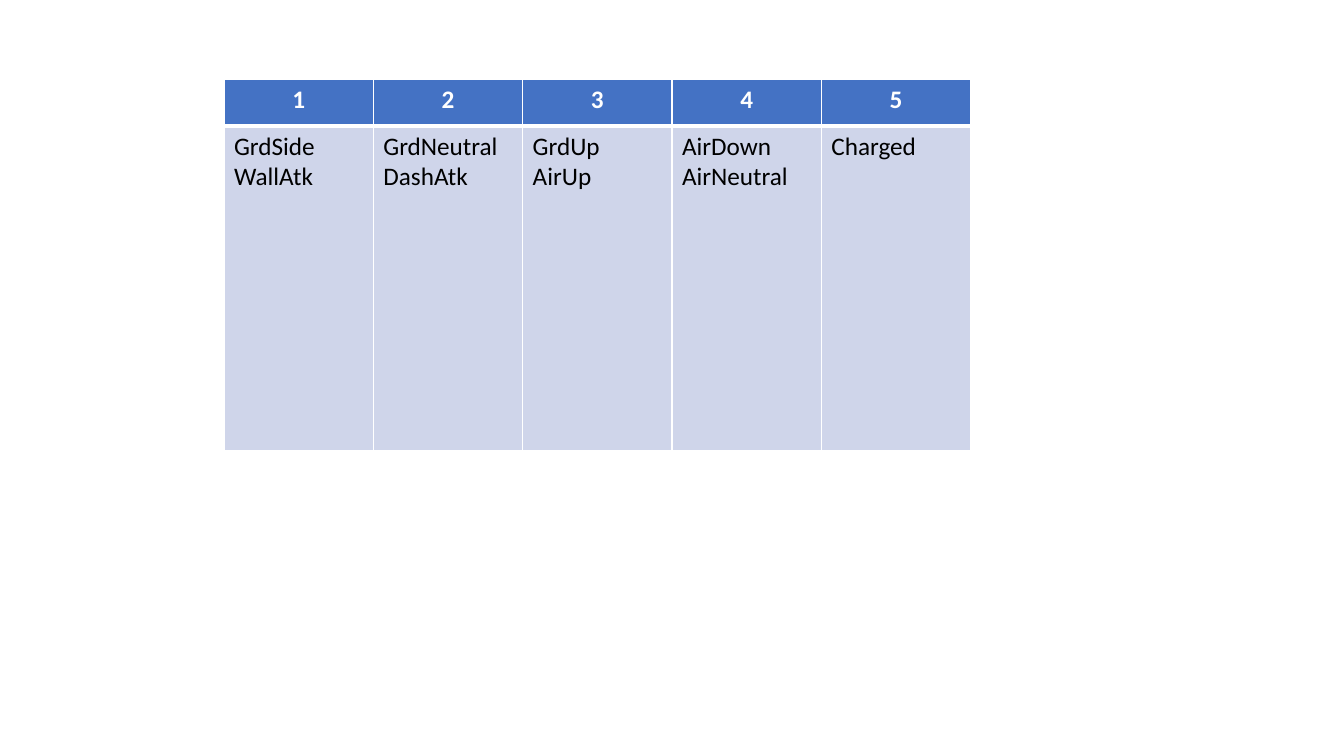
from lxml import etree
from pptx import Presentation
from pptx.dml.color import RGBColor
from pptx.enum.text import PP_ALIGN
from pptx.oxml.ns import qn
from pptx.util import Inches, Pt

CENTER, LEFT = PP_ALIGN.CENTER, PP_ALIGN.LEFT
WHITE = RGBColor(0xFF, 0xFF, 0xFF)
BLACK = RGBColor(0x00, 0x00, 0x00)
HEADER_BLUE = RGBColor(0x44, 0x72, 0xC4)
BODY_BLUE = RGBColor(0xCF, 0xD5, 0xEA)

GRID_COLUMNS, GRID_ROWS = 36, 114
HEADER_ROWS, BODY_ROWS = 7, 49
SLOT_COLUMNS = 4
THIN, THICK = 1, 3

ATTACK_SLOTS = {
    "1": ["GrdSide", "WallAtk"],
    "2": ["GrdNeutral", "DashAtk"],
    "3": ["GrdUp", "AirUp"],
    "4": ["AirDown", "AirNeutral"],
    "5": ["Charged"],
}


class SlideBuilder:
    """Places styled elements on a grid over the current slide."""

    def __init__(self, deck, font="Calibri", size=18):
        self.page = deck.slides.add_slide(deck.slide_layouts[6])
        self.column = deck.slide_width / GRID_COLUMNS
        self.row = deck.slide_height / GRID_ROWS
        self.font, self.size = font, size

    def borders(self, cell, top, bottom):
        properties = cell._tc.get_or_add_tcPr()
        for side, width in (("L", THIN), ("R", THIN), ("T", top), ("B", bottom)):
            line = etree.SubElement(properties, qn(f"a:ln{side}"), w=str(Pt(width)))
            fill = etree.SubElement(line, qn("a:solidFill"))
            etree.SubElement(fill, qn("a:srgbClr"), val=str(WHITE))

    def cell(self, cell, lines, fill, color, bold, align, top, bottom):
        self.borders(cell, top, bottom)
        cell.fill.solid()
        cell.fill.fore_color.rgb = fill
        cell.text = "\n".join(lines)
        for para in cell.text_frame.paragraphs:
            para.alignment = align
            para.font.name = self.font
            para.font.size = Pt(self.size)
            para.font.bold = bold
            para.font.color.rgb = color

    def table(self, left, top, slots):
        width = round(len(slots) * SLOT_COLUMNS * self.column)
        height = round((HEADER_ROWS + BODY_ROWS) * self.row)
        frame = self.page.shapes.add_table(
            2, len(slots), round(left * self.column), round(top * self.row), width, height)
        table = frame.table
        for table_row, rows in zip(table.rows, (HEADER_ROWS, BODY_ROWS)):
            table_row.height = round(rows * self.row)
        for index, (number, attacks) in enumerate(slots.items()):
            self.cell(table.cell(0, index), [number], HEADER_BLUE, WHITE, True, CENTER, THIN, THICK)
            self.cell(table.cell(1, index), attacks, BODY_BLUE, BLACK, False, LEFT, THICK, THIN)


def main():
    deck = Presentation()
    deck.slide_width, deck.slide_height = Inches(13.33), Inches(7.5)
    SlideBuilder(deck).table(left=6, top=12, slots=ATTACK_SLOTS)
    deck.save("out.pptx")


if __name__ == "__main__":
    main()
